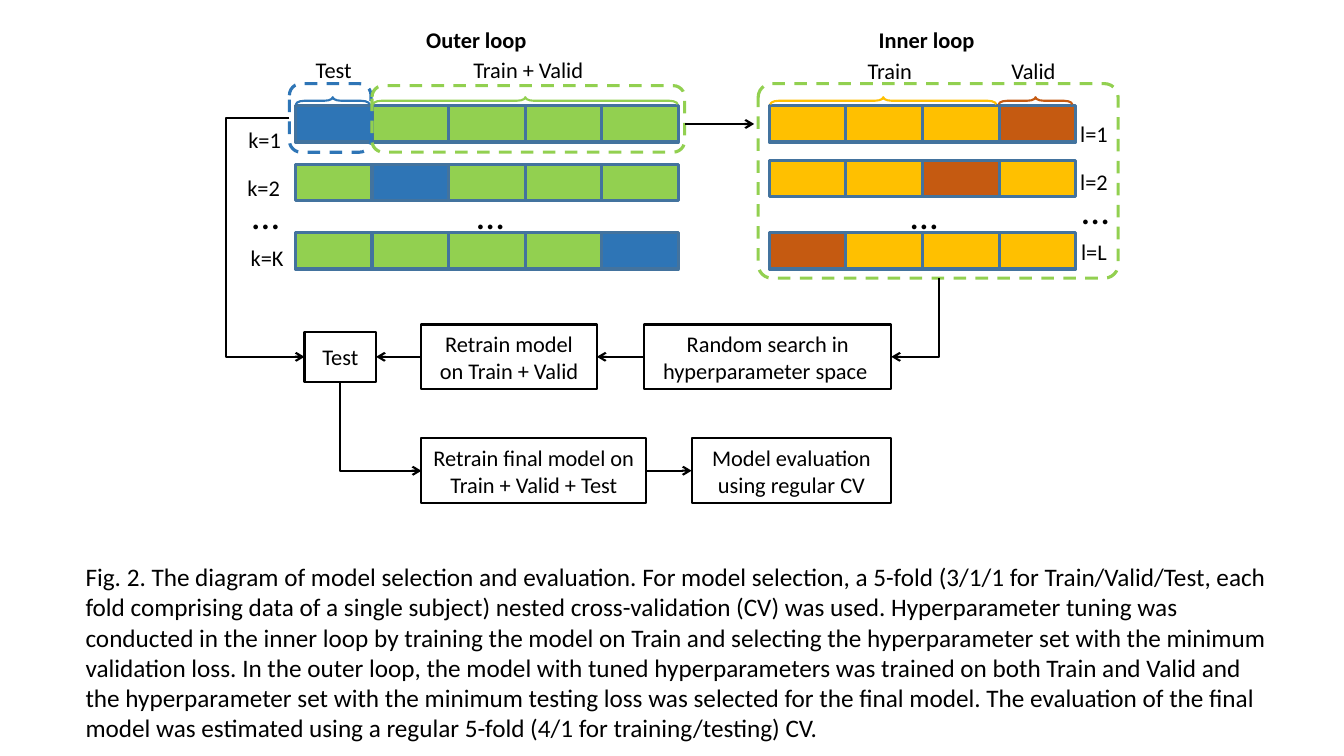
from lxml import etree
from pptx import Presentation
from pptx.dml.color import RGBColor
from pptx.enum.dml import MSO_LINE
from pptx.enum.shapes import MSO_CONNECTOR, MSO_SHAPE
from pptx.enum.text import PP_ALIGN
from pptx.oxml.ns import qn
from pptx.util import Inches, Pt

RECT, ROUND, BRACE = MSO_SHAPE.RECTANGLE, MSO_SHAPE.ROUNDED_RECTANGLE, MSO_SHAPE.LEFT_BRACE
STRAIGHT, ELBOW = MSO_CONNECTOR.STRAIGHT, MSO_CONNECTOR.ELBOW
DASH = MSO_LINE.DASH
LEFT, CENTER = PP_ALIGN.LEFT, PP_ALIGN.CENTER
LEFT_SITE, RIGHT_SITE = 1, 3
COLORS = {
    "black": "000000", "edge": "43739E", "blue": "2E75B6",
    "green": "92D050", "yellow": "FFC000", "rust": "C55A11",
}
FOLD_W, FOLD_H = 0.76, 0.36

prs = Presentation()
prs.slide_width, prs.slide_height = Inches(13.33), Inches(7.5)
s = prs.slides.add_slide(prs.slide_layouts[6])


def add_outlined(kind, box, color, width, fill=None):
    """Add a preset shape with a coloured outline and an optional fill."""
    sp = s.shapes.add_shape(kind, *map(Inches, box))
    sp.shadow.inherit = False
    sp.line.color.rgb = RGBColor.from_string(COLORS[color])
    sp.line.width = Pt(width)
    if fill:
        sp.fill.solid()
        sp.fill.fore_color.rgb = RGBColor.from_string(COLORS[fill])
    else:
        sp.fill.background()
    return sp


def set_text(sp, text, size=16, bold=False, align=CENTER, wrap=True):
    """Fill a shape with text, one paragraph for each line."""
    tf = sp.text_frame
    tf.word_wrap = wrap
    tf.text = text
    for p in tf.paragraphs:
        p.alignment = align
        p.font.name, p.font.size, p.font.bold = "Calibri", Pt(size), bold
        p.font.color.rgb = RGBColor.from_string(COLORS["black"])


# Folds: left, top, number of folds, held-out position, colours
fold_rows = [
    (7.63, 1.05, 4, 3, "yellow", "rust"),
    (7.63, 1.59, 4, 2, "yellow", "rust"),
    (7.63, 2.31, 4, 0, "yellow", "rust"),
    (2.93, 1.05, 5, 0, "green", "blue"),
    (2.93, 1.63, 5, 1, "green", "blue"),
    (2.93, 2.31, 5, 4, "green", "blue"),
]
for left, top, count, held_out, kept_color, held_color in fold_rows:
    for i in range(count):
        add_outlined(RECT, (left + i * FOLD_W, top, FOLD_W, FOLD_H), "edge", 2.25,
                     held_color if i == held_out else kept_color)

# Dashed frames around the outer split and the inner loop
for box, color, corner in [
    ((7.52, 0.83, 3.57, 1.93), "green", 0.07),
    ((2.87, 0.83, 0.81, 0.68), "blue", 0.17),
    ((3.69, 0.85, 3.1, 0.66), "green", 0.17),
]:
    frame = add_outlined(ROUND, box, color, 2.25)
    frame.line.dash_style = DASH
    frame.adjustments[0] = corner

# Braces above the first rows: centre, span, colour
for center, span, color in [
    (3.3, 0.73, "blue"), (5.21, 3.02, "green"),
    (8.76, 2.24, "yellow"), (10.27, 0.73, "rust"),
]:
    brace = add_outlined(BRACE, (center - 0.035, 1 - span / 2, 0.07, span), color, 1.5)
    brace.rotation = 90
    brace.adjustments[0] = 1.2

# Labels: text, left, top, width, size, bold
labels = [
    ("Outer loop", 4.12, 0.21, 1.21, 16, True),
    ("Inner loop", 8.61, 0.21, 1.16, 16, True),
    ("Test", 3.03, 0.51, 0.56, 16, False),
    ("Train + Valid", 4.59, 0.51, 1.3, 16, False),
    ("Train", 8.5, 0.52, 0.65, 16, False),
    ("Valid", 9.93, 0.52, 0.64, 16, False),
    ("k=1", 2.36, 1.2, 0.53, 16, False),
    ("k=2", 2.35, 1.68, 0.53, 16, False),
    ("k=K", 2.38, 2.37, 0.54, 16, False),
    ("l=1", 10.61, 1.14, 0.48, 16, False),
    ("l=2", 10.61, 1.62, 0.48, 16, False),
    ("l=L", 10.62, 2.31, 0.46, 16, False),
    ("…", 2.4, 1.84, 0.47, 28, False),
    ("…", 4.63, 1.84, 0.47, 28, False),
    ("…", 8.93, 1.84, 0.47, 28, False),
    ("…", 10.63, 1.79, 0.47, 28, False),
]
for text, left, top, width, size, bold in labels:
    height = 0.57 if size == 28 else 0.37
    label = s.shapes.add_textbox(*map(Inches, (left, top, width, height)))
    set_text(label, text, size, bold, wrap=False)

# Process steps
steps = {}
for name, text, box in [
    ("search", "Random search in\nhyperparameter space ", (6.39, 3.22, 2.45, 0.64)),
    ("retrain", "Retrain model\non Train + Valid", (4.18, 3.22, 1.74, 0.64)),
    ("test", "Test", (3.02, 3.29, 0.71, 0.5)),
    ("final", "Retrain final model on Train + Valid + Test", (4.18, 4.35, 2.23, 0.64)),
    ("evaluate", "Model evaluation\nusing regular CV", (6.86, 4.35, 1.98, 0.64)),
]:
    steps[name] = add_outlined(RECT, box, "black", 1.5)
    set_text(steps[name], text)

# Straight arrows
arrows = [s.shapes.add_connector(STRAIGHT, *map(Inches, (6.79, 1.23, 7.48, 1.23)))]
for start, start_site, end, end_site in [
    ("search", LEFT_SITE, "retrain", RIGHT_SITE),
    ("retrain", LEFT_SITE, "test", RIGHT_SITE),
    ("final", RIGHT_SITE, "evaluate", LEFT_SITE),
]:
    arrow = s.shapes.add_connector(STRAIGHT, 0, 0, 0, 0)
    arrow.begin_connect(steps[start], start_site)
    arrow.end_connect(steps[end], end_site)
    arrows.append(arrow)

# Arrow that leaves the test fold to the left and comes back to the Test step
x1, x2, turn_x = 2.87, 3.02, 2.24
arrow = s.shapes.add_connector(ELBOW, *map(Inches, (x1, 1.17, x2, 3.54)))
guides = arrow._element.spPr.find(qn("a:prstGeom")).get_or_add_avLst()
turn = round((turn_x - x1) / (x2 - x1) * 100000)
etree.SubElement(guides, qn("a:gd"), name="adj1", fmla=f"val {turn}")
arrows.append(arrow)

# Arrows that go down and then sideways: a one-bend connector turned by 90 degrees
for x1, y1, x2, y2 in [(9.31, 2.76, 8.84, 3.54), (3.37, 3.79, 4.18, 4.67)]:
    cx, cy = (x1 + x2) / 2, (y1 + y2) / 2
    half_w, half_h = (y2 - y1) / 2, (x1 - x2) / 2
    ends = (cx - half_w, cy - half_h, cx + half_w, cy + half_h)
    arrow = s.shapes.add_connector(ELBOW, *map(Inches, ends))
    spPr = arrow._element.spPr
    spPr.find(qn("a:xfrm")).set("rot", str(90 * 60000))
    spPr.find(qn("a:prstGeom")).set("prst", "bentConnector2")
    arrows.append(arrow)

for arrow in arrows:
    arrow.line.color.rgb = RGBColor.from_string(COLORS["black"])
    arrow.line.width = Pt(1.5)
    etree.SubElement(arrow.line._get_or_add_ln(), qn("a:tailEnd"), type="arrow")
    etree.SubElement(arrow._element.spPr, qn("a:effectLst"))

# Caption
caption = s.shapes.add_textbox(*map(Inches, (0.75, 5.52, 11.95, 1.92)))
set_text(caption, (
    "Fig. 2. The diagram of model selection and evaluation. For model selection, "
    "a 5-fold (3/1/1 for Train/Valid/Test, each fold comprising data of a single subject) "
    "nested cross-validation (CV) was used. Hyperparameter tuning was conducted in the "
    "inner loop by training the model on Train and selecting the hyperparameter set with "
    "the minimum validation loss. In the outer loop, the model with tuned hyperparameters "
    "was trained on both Train and Valid and the hyperparameter set with the minimum "
    "testing loss was selected for the final model. The evaluation of the final model was "
    "estimated using a regular 5-fold (4/1 for training/testing) CV."
), 18, align=LEFT)

prs.save("out.pptx")
